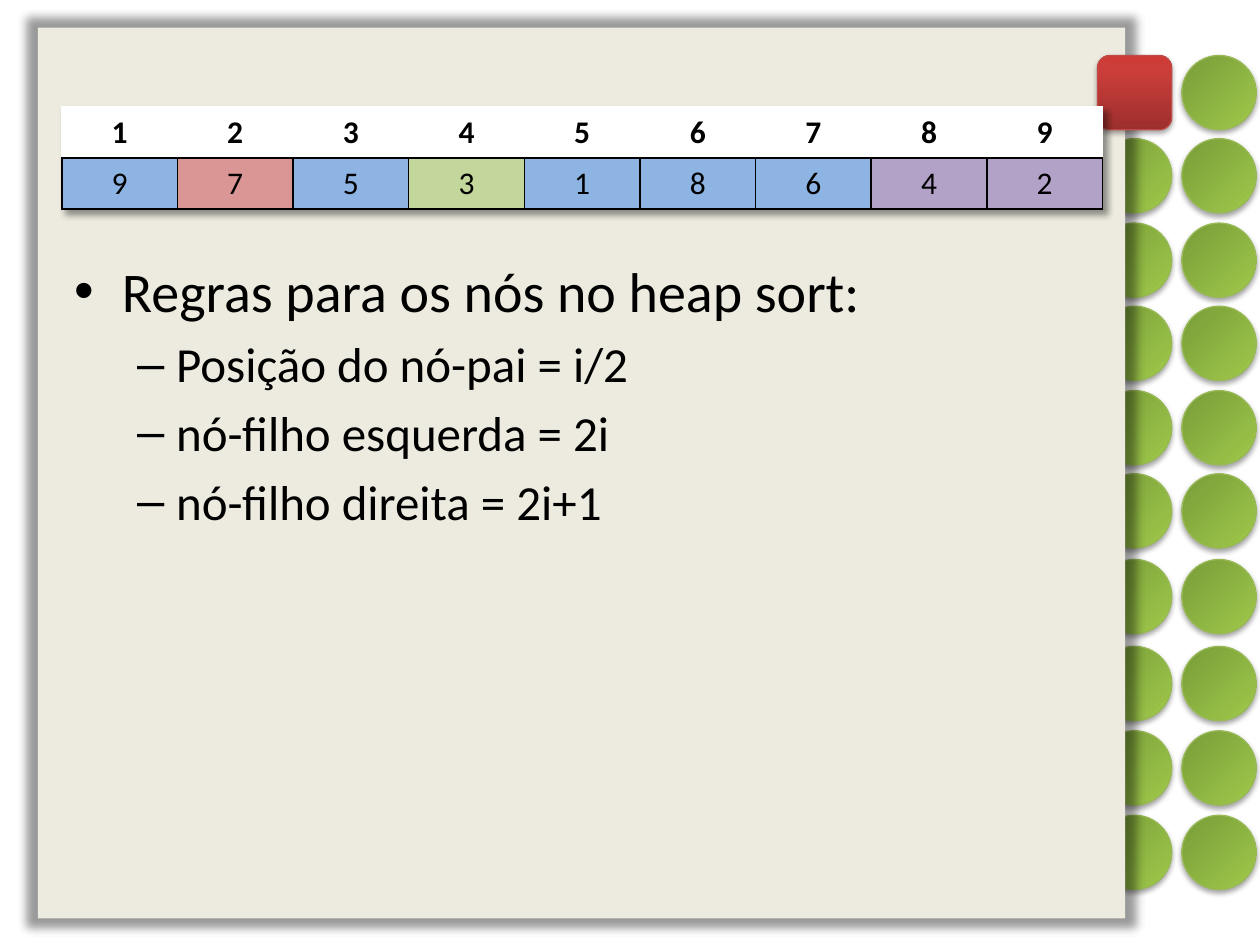
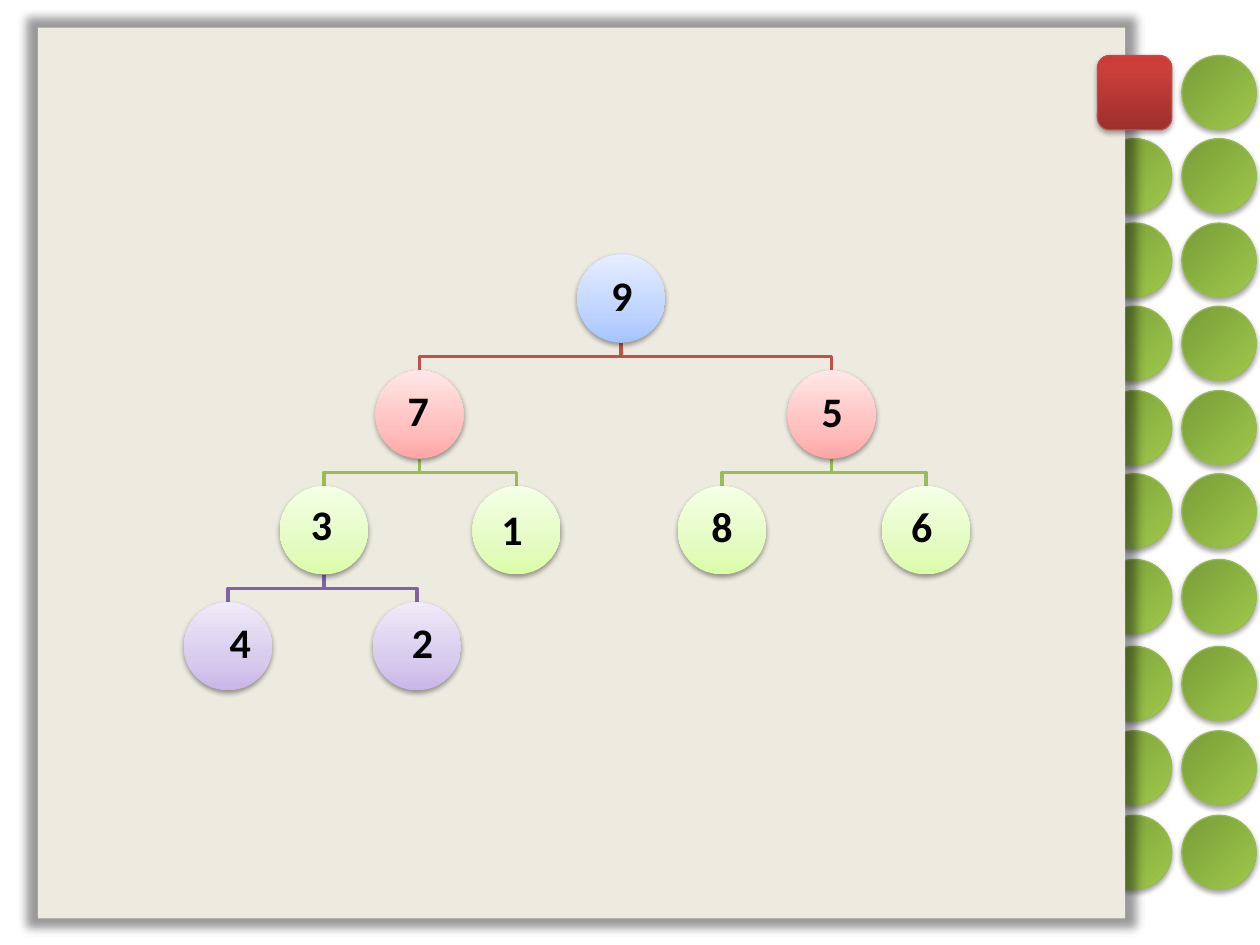
from lxml import etree
from pptx import Presentation
from pptx import util as u
from pptx.dml.color import RGBColor
from pptx.enum import shapes, text
from pptx.oxml import ns

Inches, Pt = u.Inches, u.Pt

FONT = "Calibri"
BLACK = RGBColor(0x00, 0x00, 0x00)
WHITE = RGBColor(0xFF, 0xFF, 0xFF)
PAPER = RGBColor(0xED, 0xEB, 0xDF)
GREEN_EDGE = RGBColor(0x98, 0xB9, 0x55)
RED_EDGE = RGBColor(0xBF, 0x4C, 0x48)
CELL_BLUE = RGBColor(0x8E, 0xB4, 0xE3)
CELL_RED = RGBColor(0xD9, 0x96, 0x94)
CELL_GREEN = RGBColor(0xC3, 0xD6, 0x9B)
CELL_PURPLE = RGBColor(0xB3, 0xA2, 0xC7)
LINK_RED = RGBColor(0xC0, 0x50, 0x4D)
LINK_GREEN = RGBColor(0x9B, 0xBB, 0x59)
LINK_PURPLE = RGBColor(0x80, 0x64, 0xA2)


def gradient(*stops):
    """Turn (position, hex) pairs into (position, colour) pairs."""
    return [(position, RGBColor.from_string(colour)) for position, colour in stops]


GREEN_BALL = gradient((0, "779C38"), (100, "A0C94B"))
RED_TAB = gradient((0, "9C2F2D"), (80, "CB3E3A"), (100, "CE3B37"))
LEVEL_FILLS = [
    gradient((0, "A4C4FF"), (35, "BFD4FF"), (100, "E6EEFF")),
    gradient((0, "FFA6A5"), (35, "FFC0BF"), (100, "FFE7E7")),
    gradient((0, "DAFDA7"), (35, "E4FCC2"), (100, "F5FFE7")),
    gradient((0, "C9B5E8"), (35, "D8CBEE"), (100, "F0EAF9")),
]
LEVEL_LINKS = [None, LINK_RED, LINK_GREEN, LINK_PURPLE]

# Shared decoration
BALL_SIZE = 0.59
BALL_COLUMNS = (8.71, 9.38)
BALL_ROWS = (0.44, 1.1, 1.77, 2.43, 3.1, 3.76, 4.44, 5.13, 5.8, 6.47)
BALL_SHADOW = dict(alpha=35, blur=3.1, distance=1.8, angle=90)
NODE_SHADOW = dict(alpha=38, blur=3.1, distance=1.6, angle=90)

# Heap contents, in array order
HEAP = (9, 7, 5, 3, 1, 8, 6, 4, 2)
HEAP_COLOURS = (CELL_BLUE, CELL_RED, CELL_BLUE, CELL_GREEN, CELL_BLUE,
                CELL_BLUE, CELL_BLUE, CELL_PURPLE, CELL_PURPLE)
NODE_SIZE = 0.7
NODE_TOP, LEVEL_STEP = 2.02, 0.92
NODE_LEFTS = (4.58, 2.98, 6.25, 2.22, 3.75, 5.38, 7.0, 1.46, 2.96)
LABEL_BOXES = (
    (4.68, 2.17, 0.51, 0.39), (3.09, 3.13, 0.46, 0.3), (6.42, 3.09, 0.37, 0.39),
    (2.37, 4.07, 0.24, 0.23), (3.88, 3.95, 0.45, 0.54), (5.52, 4.02, 0.42, 0.35),
    (7.0, 3.94, 0.63, 0.51), (1.73, 4.99, 0.19, 0.25), (3.17, 4.94, 0.29, 0.36),
)


# XML helpers
def sub(parent, tag, **attributes):
    child = etree.SubElement(parent, ns.qn(tag))
    for key, value in attributes.items():
        child.set(key, str(value))
    return child


def add_colour(parent, colour):
    return sub(parent, "a:srgbClr", val=colour)


def add_shadow(effects, alpha, blur, distance, angle, scale=100, anchor="ctr"):
    shadow = sub(effects, "a:outerShdw", blurRad=Pt(blur), dist=Pt(distance),
                 dir=angle * 60000, sx=scale * 1000, sy=scale * 1000,
                 algn=anchor, rotWithShape=0)
    sub(add_colour(shadow, BLACK), "a:alpha", val=alpha * 1000)


def fill_gradient(shape, stops, angle):
    fill = etree.Element(ns.qn("a:gradFill"), rotWithShape="1")
    stop_list = sub(fill, "a:gsLst")
    for position, colour in stops:
        add_colour(sub(stop_list, "a:gs", pos=position * 1000), colour)
    sub(fill, "a:lin", ang=angle * 60000, scaled=0)
    shape.element.spPr.find(ns.qn("a:prstGeom")).addnext(fill)


def border(cell, *sides):
    for side in sides:
        line = sub(cell._tc.get_or_add_tcPr(), f"a:ln{side}", w=Pt(1))
        add_colour(sub(line, "a:solidFill"), BLACK)


def add_bullet(paragraph, mark, margin, hanging):
    properties = paragraph._p.get_or_add_pPr()
    properties.set("marL", str(Inches(margin)))
    properties.set("indent", str(-Inches(hanging)))
    sub(properties, "a:buFont", typeface="Arial")
    sub(properties, "a:buChar", char=mark)


# Elements
def write(frame, words, size=18, bold=False, align=text.PP_ALIGN.LEFT, level=0,
          before=0, after=0, spacing=1.0, new=False):
    paragraph = frame.add_paragraph() if new else frame.paragraphs[0]
    paragraph.alignment = align
    paragraph.level = level
    paragraph.space_before, paragraph.space_after = Pt(before), Pt(after)
    paragraph.line_spacing = spacing
    run = paragraph.add_run()
    run.text = words
    run.font.name, run.font.size, run.font.bold = FONT, Pt(size), bold
    run.font.color.rgb = BLACK
    return paragraph


def add_figure(slide, preset, box, shadow, fill=None, stops=None, angle=270, edge=None):
    figure = slide.shapes.add_shape(preset, *map(Inches, box))
    if stops:
        fill_gradient(figure, stops, angle)
    else:
        figure.fill.solid()
        figure.fill.fore_color.rgb = fill
    if edge is None:
        figure.line.fill.background()
    else:
        figure.line.color.rgb = edge
        figure.line.width = Pt(0.75)
    figure.shadow.inherit = False
    add_shadow(figure.element.spPr.find(ns.qn("a:effectLst")), **shadow)


def add_text_box(slide, box, inset=None, anchor=text.MSO_ANCHOR.TOP):
    frame = slide.shapes.add_textbox(*map(Inches, box)).text_frame
    frame.word_wrap = True
    frame.vertical_anchor = anchor
    if inset is not None:
        frame.margin_left = frame.margin_right = Inches(inset)
        frame.margin_top = frame.margin_bottom = Inches(inset)
    return frame


def add_heap_slide(deck):
    """Blank slide with the green balls, paper panel and red tab."""
    slide = deck.slides.add_slide(deck.slide_layouts[6])
    preset = shapes.MSO_SHAPE
    tab_place = (BALL_COLUMNS[0], BALL_ROWS[0])
    for top in BALL_ROWS:
        for left in BALL_COLUMNS:
            if (left, top) != tab_place:
                add_figure(slide, preset.OVAL, (left, top, BALL_SIZE, BALL_SIZE),
                           BALL_SHADOW, stops=GREEN_BALL, angle=45, edge=GREEN_EDGE)
    add_figure(slide, preset.RECTANGLE, (0.3, 0.22, 8.63, 7.07),
               dict(alpha=40, blur=5, distance=0, angle=0, scale=102), fill=PAPER)
    add_figure(slide, preset.ROUNDED_RECTANGLE, (*tab_place, BALL_SIZE, BALL_SIZE),
               BALL_SHADOW, stops=RED_TAB, edge=RED_EDGE)
    return slide


def add_array_table(slide):
    table = slide.shapes.add_table(
        2, len(HEAP), Inches(0.49), Inches(0.85), Inches(8.26), Inches(0.81)).table
    table.first_row = table.horz_banding = False
    effects = etree.Element(ns.qn("a:effectLst"))
    add_shadow(effects, alpha=40, blur=4, distance=3, angle=45, anchor="tl")
    table._tbl.tblPr.insert(0, effects)
    for column, (value, colour) in enumerate(zip(HEAP, HEAP_COLOURS)):
        position_cell, value_cell = table.cell(0, column), table.cell(1, column)
        border(position_cell, "B")
        border(value_cell, "L", "R", "T", "B")
        for cell, number, fill in ((position_cell, column + 1, WHITE),
                                   (value_cell, value, colour)):
            cell.fill.solid()
            cell.fill.fore_color.rgb = fill
            write(cell.text_frame, str(number), bold=cell is position_cell,
                  align=text.PP_ALIGN.CENTER)


def add_rules(slide):
    frame = add_text_box(slide, (0.49, 1.99, 8.33, 4.74))
    heading = write(frame, "Regras para os nós no heap sort:", size=32, before=6.4)
    add_bullet(heading, "•", 0.38, 0.38)
    for rule in ("Posição do nó-pai = i/2", "nó-filho esquerda = 2i",
                 "nó-filho direita = 2i+1"):
        item = write(frame, rule, size=28, level=1, before=5.6, new=True)
        add_bullet(item, "–", 0.81, 0.31)


# Tree: positions count from 1, so the parent of i is i // 2
def level_of(position):
    return position.bit_length() - 1


def node_corner(position):
    return NODE_LEFTS[position - 1], NODE_TOP + LEVEL_STEP * level_of(position)


def add_link(slide, child):
    parent_left, parent_top = node_corner(child // 2)
    child_left, child_top = node_corner(child)
    start_x, end_x = parent_left + NODE_SIZE / 2, child_left + NODE_SIZE / 2
    start_y = parent_top + NODE_SIZE
    bend_y = (start_y + child_top) / 2
    outline = slide.shapes.build_freeform(Inches(start_x), Inches(start_y))
    bends = ((start_x, bend_y), (end_x, bend_y), (end_x, child_top))
    outline.add_line_segments([(Inches(x), Inches(y)) for x, y in bends], close=False)
    link = outline.convert_to_shape()
    link.fill.background()
    link.line.color.rgb = LEVEL_LINKS[level_of(child)]
    link.line.width = Pt(2)
    link.shadow.inherit = False


def add_node(slide, position):
    add_figure(slide, shapes.MSO_SHAPE.OVAL,
               (*node_corner(position), NODE_SIZE, NODE_SIZE), NODE_SHADOW,
               stops=LEVEL_FILLS[level_of(position)])
    value = HEAP[position - 1]
    label = add_text_box(slide, LABEL_BOXES[position - 1], inset=0.1,
                         anchor=text.MSO_ANCHOR.MIDDLE)
    align = text.PP_ALIGN.LEFT if value == 1 else text.PP_ALIGN.CENTER
    write(label, str(value), size=24, bold=True, align=align, after=8.4, spacing=0.9)


def main():
    deck = Presentation()
    deck.slide_width, deck.slide_height = Inches(10), Inches(7.5)

    # Slide 1: array and rules
    array_slide = add_heap_slide(deck)
    add_rules(array_slide)
    add_array_table(array_slide)

    # Slide 2: the same heap as a tree
    tree_slide = add_heap_slide(deck)
    for child in range(2, len(HEAP) + 1):
        add_link(tree_slide, child)
    for position in range(1, len(HEAP) + 1):
        add_node(tree_slide, position)

    deck.save("out.pptx")


if __name__ == "__main__":
    main()
